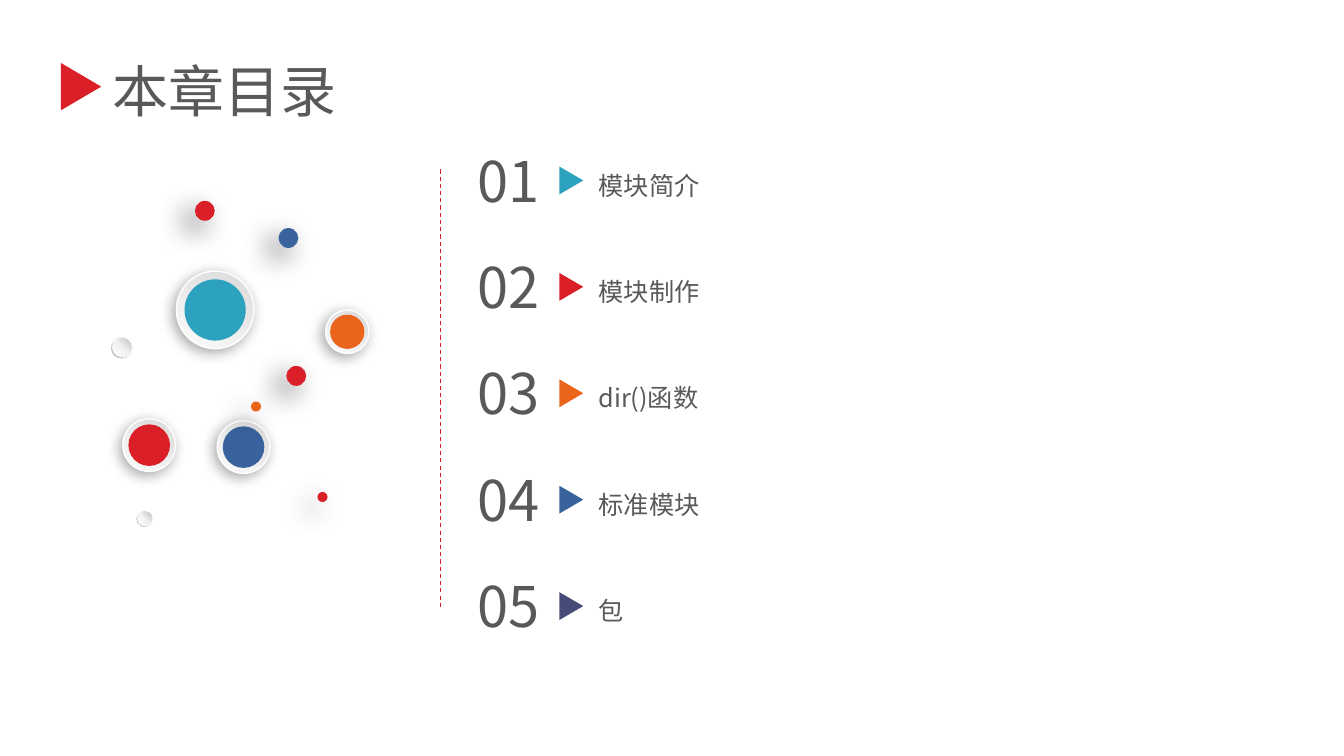
from lxml import etree
from pptx import Presentation
from pptx.dml.color import RGBColor
from pptx.enum.dml import MSO_LINE
from pptx.enum.shapes import MSO_CONNECTOR, MSO_SHAPE
from pptx.enum.text import MSO_ANCHOR, MSO_AUTO_SIZE, PP_ALIGN
from pptx.oxml import parse_xml
from pptx.oxml.ns import nsdecls, qn
from pptx.util import Pt

TRIANGLE, OVAL, DONUT = MSO_SHAPE.ISOSCELES_TRIANGLE, MSO_SHAPE.OVAL, MSO_SHAPE.DONUT
STRAIGHT, DASH = MSO_CONNECTOR.STRAIGHT, MSO_LINE.DASH
TOP, LEFT, GROW = MSO_ANCHOR.TOP, PP_ALIGN.LEFT, MSO_AUTO_SIZE.SHAPE_TO_FIT_TEXT

FONT = "Noto Sans CJK SC"
GREY, TEAL, RED, ORANGE, BLUE, INDIGO = (
    "595959", "2DA2BF", "DA1F28", "EB641B", "39639D", "474B78")
RING_FILL = [(0, "D9D9D9"), (100, "FCFCFC")]
RING_EDGE = [(0, "D9D9D9"), (50, "FFFFFF"), (100, "FFFFFF")]
PEARL_RIM = [(0, "FFFFFF"), (55, "F2F2F2"), (100, "A6A6A6")]
PEARL_FILL = [(0, "FFFFFF"), (51, "F2F2F2"), (100, "BFBFBF")]

CHAPTERS = [("模块简介", TEAL), ("模块制作", RED), ("dir()函数", ORANGE),
            ("标准模块", BLUE), ("包", INDIGO)]
# left, top, diameter, colour
RINGS = [(126, 193.7, 55.4, TEAL), (87.8, 299.2, 37.6, RED),
         (155.2, 300.6, 37.6, BLUE), (232.6, 221.5, 31, ORANGE)]
DOTS = [(204.5, 261.4, 14.2, RED), (198.9, 162.9, 14.2, BLUE), (226.8, 351.4, 7.2, RED),
        (139.2, 143.5, 14.2, RED), (179.3, 286.8, 7.2, ORANGE)]
PEARLS = [(97.7, 364.8, 11.5), (79.6, 240.7, 15.1)]


def rgb(hex_colour):
    return RGBColor.from_string(hex_colour)


def gradient(stops, angle):
    gs = "".join(f'<a:gs pos="{pos * 1000}"><a:srgbClr val="{c}"/></a:gs>' for pos, c in stops)
    return parse_xml(f'<a:gradFill {nsdecls("a")} rotWithShape="1"><a:gsLst>{gs}</a:gsLst>'
                     f'<a:lin ang="{angle * 60000}" scaled="0"/></a:gradFill>')


def add_solid(shapes, kind, x, y, w, h, colour):
    s = shapes.add_shape(kind, Pt(x), Pt(y), Pt(w), Pt(h))
    s.shadow.inherit = False
    s.fill.solid()
    s.fill.fore_color.rgb = rgb(colour)
    s.line.fill.background()
    return s


def add_gradient(shapes, kind, x, y, d, stops, angle):
    s = add_solid(shapes, kind, x, y, d, d, stops[0][1])
    solid = s._element.spPr.find(qn("a:solidFill"))
    solid.getparent().replace(solid, gradient(stops, angle))
    return s


def add_triangle(shapes, x, y, w, h, colour):
    add_solid(shapes, TRIANGLE, x, y, w, h, colour).rotation = 90


def cast_shadow(s, alpha, blur, dist):
    effects = s._element.spPr.find(qn("a:effectLst"))
    shadow = etree.SubElement(effects, qn("a:outerShdw"), blurRad=str(Pt(blur)),
                              dist=str(Pt(dist)), dir="8100000", algn="tr", rotWithShape="0")
    colour = etree.SubElement(shadow, qn("a:srgbClr"), val="000000")
    etree.SubElement(colour, qn("a:alpha"), val=str(alpha * 1000))


def write(sp, text, size):
    tf = sp.text_frame
    tf.word_wrap = True
    tf.auto_size = GROW
    tf.vertical_anchor = TOP
    p = tf.paragraphs[0]
    p.text = text
    p.alignment = LEFT
    p.font.size = Pt(size)
    p.font.color.rgb = rgb(GREY)
    p.font.name = FONT
    etree.SubElement(p._p.pPr.find(qn("a:defRPr")), qn("a:ea"), typeface=FONT)
    return p


def heading(s, x, y, w, h):
    """Title with its red marker at the left."""
    sp = s.shapes.title
    sp.left, sp.top, sp.width, sp.height = Pt(x + 32), Pt(y), Pt(w - 32), Pt(h)
    write(sp, "本章目录", 40)
    add_triangle(s.shapes, x, y + 10.8, 33.8, 28.8, RED)


def ring(s, x, y, d, colour):
    """Coloured disc in a pale raised ring."""
    group = s.shapes.add_group_shape().shapes
    rim = add_gradient(group, OVAL, x, y, d, RING_FILL, 120)
    rim.line.width = Pt(1)
    line = rim.line._get_or_add_ln()
    line.replace(line.find(qn("a:noFill")), gradient(RING_EDGE, 120))
    cast_shadow(rim, 34, 10, 3)
    inset = d * 0.105
    add_solid(group, OVAL, x + inset, y + inset, d - 2 * inset, d - 2 * inset, colour)


def pearl(s, x, y, d):
    """Small shaded ball with a thin rim."""
    group = s.shapes.add_group_shape().shapes
    add_gradient(group, DONUT, x, y, d, PEARL_RIM, 135).adjustments[0] = 0.049
    inset = d * 0.049
    add_gradient(group, OVAL, x + inset, y + inset, d - 2 * inset, PEARL_FILL, 315)


def bubbles(s, x, y):
    """Decorative cluster, offset by x and y."""
    for left, top, d, colour in RINGS:
        ring(s, x + left, y + top, d, colour)
    for left, top, d in PEARLS:
        pearl(s, x + left, y + top, d)
    for left, top, d, colour in DOTS:
        dot = add_solid(s.shapes, OVAL, x + left, y + top, d, d, colour)
        cast_shadow(dot, 60, 20, 10)


def divider(s, x, y, h):
    """Dashed vertical line."""
    c = s.shapes.add_connector(STRAIGHT, Pt(x), Pt(y), Pt(x), Pt(y + h))
    c.line.color.rgb = rgb(RED)
    c.line.width = Pt(0.75)
    c.line.dash_style = DASH
    etree.SubElement(c._element.spPr, qn("a:effectLst"))


def contents(s, x, y, w, pitch):
    """Numbered chapter rows at an equal pitch."""
    for i, (name, colour) in enumerate(CHAPTERS):
        top = y + i * pitch
        group = s.shapes.add_group_shape().shapes
        add_triangle(group, x + 64.1, top + 19.6, 19.8, 17, colour)
        write(group.add_textbox(Pt(x), Pt(top), Pt(65), Pt(55.4)), f"{i + 1:02}", 40)
        label = group.add_textbox(Pt(x + 86.4), Pt(top + 6.2), Pt(w - 86.4), Pt(36))
        p = write(label, name, 18)
        p.line_spacing = 1.5
        p.space_before = Pt(6)


def main():
    prs = Presentation()
    prs.slide_width, prs.slide_height = Pt(960), Pt(540)
    s = prs.slides.add_slide(prs.slide_layouts[5])
    heading(s, 41, 36.7, 266.5, 55.4)
    bubbles(s, 0, 0)
    divider(s, 314.6, 121, 314)
    contents(s, 334.1, 100.8, 411.1, 76)
    prs.save("out.pptx")


if __name__ == "__main__":
    main()
